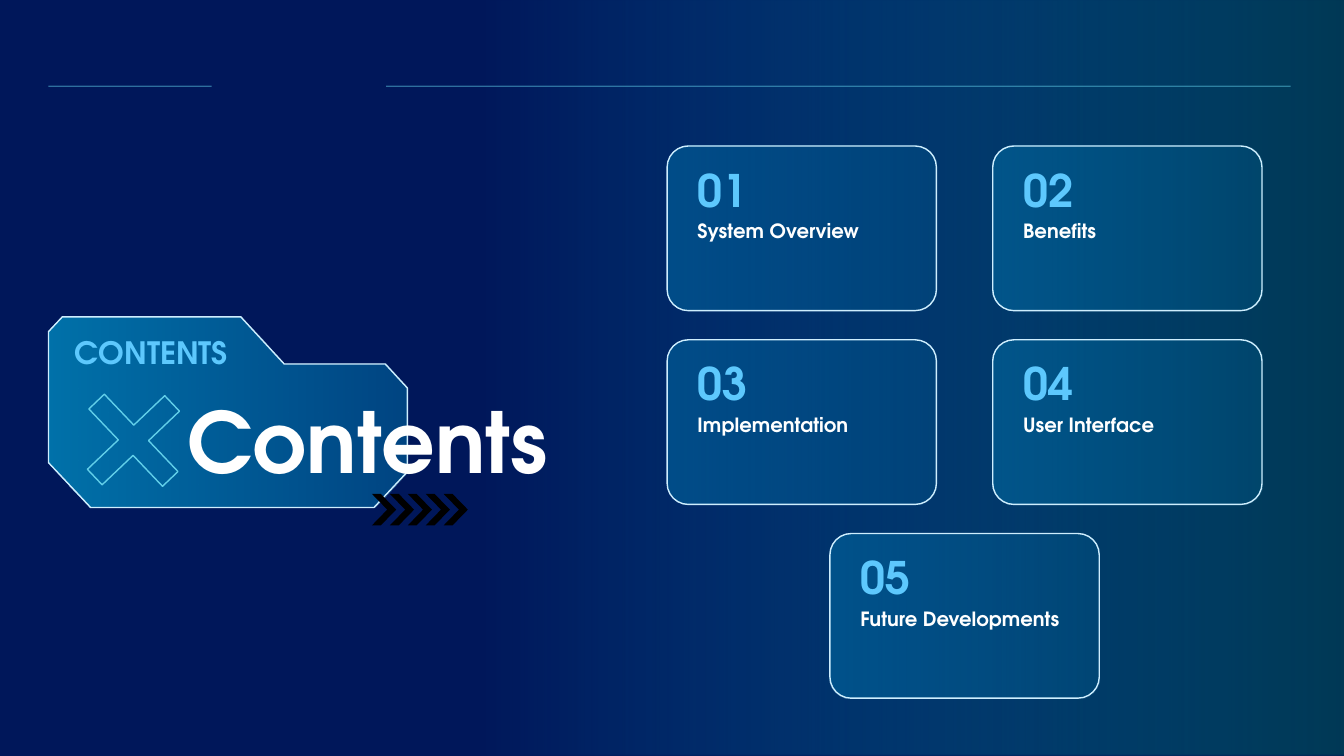
from dataclasses import dataclass

from lxml import etree
from pptx import Presentation
from pptx.dml.color import RGBColor
from pptx.dml.fill import FillFormat
from pptx.enum.shapes import MSO_CONNECTOR, MSO_SHAPE
from pptx.enum.text import MSO_ANCHOR
from pptx.oxml.ns import qn
from pptx.util import Pt

RECTANGLE = MSO_SHAPE.RECTANGLE
ROUNDED = MSO_SHAPE.ROUNDED_RECTANGLE
CHEVRON = MSO_SHAPE.CHEVRON
PLUS = MSO_SHAPE.MATH_PLUS
STRAIGHT = MSO_CONNECTOR.STRAIGHT
TOP = MSO_ANCHOR.TOP
MIDDLE = MSO_ANCHOR.MIDDLE

FONT = "TeX Gyre Adventor"
COLORS = {
    "navy": "00175A",
    "blue": "0273AB",
    "teal": "013955",
    "pale": "CEEEFE",
    "cyan": "62CFE9",
    "sky": "5DC8FD",
    "white": "FFFFFF",
    "black": "000000",
}


@dataclass(frozen=True)
class Stop:
    position: float
    color: str
    opacity: int = 100


@dataclass(frozen=True)
class Card:
    number: str
    caption: str
    column: float
    row: int


@dataclass(frozen=True)
class Label:
    text: str
    left: float
    top: float
    width: float
    height: float
    size: float
    spacing: float
    color: str = ""
    anchor: MSO_ANCHOR = TOP


CARDS = [
    Card("01", "System Overview", 0, 0),
    Card("02", "Benefits", 1, 0),
    Card("03", "Implementation", 0, 1),
    Card("04", "User Interface", 1, 1),
    Card("05", "Future Developments", 0.5, 2),
]
CARD_LEFT, CARD_TOP = 476.5, 104.3
CARD_WIDTH, CARD_HEIGHT = 192.4, 117.6
COLUMN_STEP, ROW_STEP = 232.6, 138.4

FOLDER_OUTLINE = [
    (44.6, 226.3), (172, 226.3), (203, 260), (275.2, 260), (291, 277.2),
    (291, 337), (267.2, 362.5), (64.8, 362.5), (34.7, 330.5), (34.7, 236.9),
]
HEADER_LINES = [(34.6, 151.2), (275.8, 921.9)]
HEADER_TOP = 61.6
TEXT_GRADIENT = (Stop(0, "sky"), Stop(1, "cyan"))


def rgb(name: str) -> RGBColor:
    return RGBColor.from_string(COLORS[name])


def set_opacity(color_element, percent: int) -> None:
    alpha = etree.SubElement(color_element, qn("a:alpha"))
    alpha.set("val", str(percent * 1000))


def set_gradient(fill: FillFormat, owner, stops: tuple[Stop, Stop], angle: float = 0) -> None:
    fill.gradient()
    fill.gradient_angle = angle
    for gradient_stop, stop in zip(fill.gradient_stops, stops):
        gradient_stop.position = stop.position
        gradient_stop.color.rgb = rgb(stop.color)
    elements = owner.findall(f"{qn('a:gradFill')}//{qn('a:srgbClr')}")
    for element, stop in zip(elements, stops):
        if stop.opacity < 100:
            set_opacity(element, stop.opacity)


def set_line(shape, color: str) -> None:
    shape.line.color.rgb = rgb(color)
    shape.line.width = Pt(1)


def add_preset(slide, kind: MSO_SHAPE, left: float, top: float, width: float, height: float):
    shape = slide.shapes.add_shape(kind, Pt(left), Pt(top), Pt(width), Pt(height))
    shape.shadow.inherit = False
    shape.line.fill.background()
    return shape


def add_label(slide, label: Label) -> None:
    box = slide.shapes.add_textbox(
        Pt(label.left), Pt(label.top), Pt(label.width), Pt(label.height)
    )
    frame = box.text_frame
    frame.word_wrap = True
    frame.vertical_anchor = label.anchor
    frame.margin_left = frame.margin_right = Pt(7.2)
    frame.margin_top = frame.margin_bottom = 0
    paragraph = frame.paragraphs[0]
    paragraph.line_spacing = label.spacing
    run = paragraph.add_run()
    run.text = label.text
    run.font.name = FONT
    run.font.size = Pt(label.size)
    run.font.bold = True
    if label.color:
        run.font.fill.solid()
        run.font.fill.fore_color.rgb = rgb(label.color)
    else:
        set_gradient(run.font.fill, run.font.fill and run._r.rPr, TEXT_GRADIENT, 315)


def add_backdrop(slide) -> None:
    slide.background.fill.solid()
    slide.background.fill.fore_color.rgb = rgb("navy")
    glow = add_preset(slide, RECTANGLE, 304.2, 0, 655.8, 540)
    set_gradient(glow.fill, glow.element.spPr, (Stop(0.06, "blue", 0), Stop(1, "teal")))


def add_folder(slide) -> None:
    points = [(Pt(x), Pt(y)) for x, y in FOLDER_OUTLINE]
    builder = slide.shapes.build_freeform(*points[0], scale=1.0)
    builder.add_line_segments(points[1:], close=True)
    folder = builder.convert_to_shape()
    folder.shadow.inherit = False
    set_gradient(folder.fill, folder.element.spPr, (Stop(0, "blue"), Stop(1, "blue", 50)))
    set_line(folder, "pale")

    cross = add_preset(slide, PLUS, 43.4, 262.6, 103.8, 103.8)
    cross.adjustments[0] = 0.147
    cross.rotation = 46.4
    cross.fill.background()
    set_line(cross, "cyan")

    for index in range(5):
        chevron = add_preset(slide, CHEVRON, 265.7 + 12.8 * index, 352.8, 17.3, 22.5)
        chevron.adjustments[0] = 0.633
        chevron.fill.solid()
        chevron.fill.fore_color.rgb = rgb("black")


def add_header_line(slide, start: float, end: float) -> None:
    line = slide.shapes.add_connector(
        STRAIGHT, Pt(start), Pt(HEADER_TOP), Pt(end), Pt(HEADER_TOP)
    )
    set_line(line, "cyan")
    properties = line.element.spPr
    set_opacity(properties.find(f".//{qn('a:srgbClr')}"), 48)
    etree.SubElement(properties, qn("a:effectLst"))


def add_card(slide, card: Card) -> None:
    left = CARD_LEFT + COLUMN_STEP * card.column
    top = CARD_TOP + ROW_STEP * card.row
    panel = add_preset(slide, ROUNDED, left, top, CARD_WIDTH, CARD_HEIGHT)
    panel.adjustments[0] = 0.129
    set_gradient(panel.fill, panel.element.spPr, (Stop(0, "blue", 50), Stop(1, "blue", 20)))
    set_line(panel, "pale")
    add_label(slide, Label(card.number, left + 14.6, top + 9.4, 165, 35.2, 32, 1.2, anchor=MIDDLE))
    add_label(slide, Label(card.caption, left + 14.6, top + 49, 165, 63.4, 14, 1.2, "white"))


def main() -> None:
    presentation = Presentation()
    presentation.slide_width = Pt(960)
    presentation.slide_height = Pt(540)
    slide = presentation.slides.add_slide(presentation.slide_layouts[6])
    add_backdrop(slide)
    add_folder(slide)
    for start, end in HEADER_LINES:
        add_header_line(slide, start, end)
    add_label(slide, Label("Contents", 126.7, 270.7, 370.8, 94.3, 60, 1.1, "white"))
    for card in CARDS:
        add_card(slide, card)
    add_label(slide, Label("CONTENTS", 46.4, 236, 150, 31, 22, 1, anchor=MIDDLE))
    presentation.save("out.pptx")


if __name__ == "__main__":
    main()
